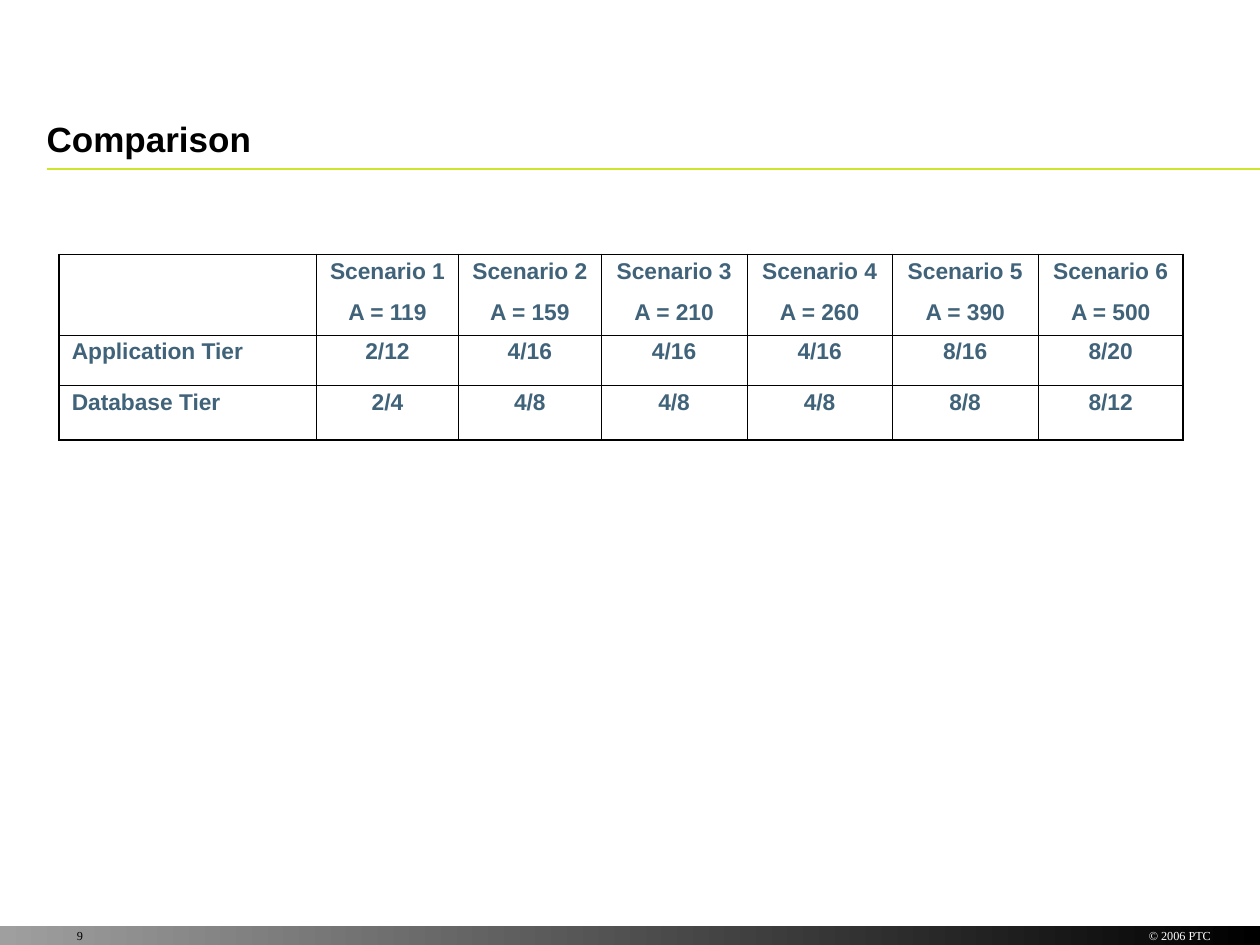
"""Build the scenario comparison slide with its table of tier sizes."""
from lxml.etree import SubElement
from pptx import Presentation
from pptx.dml.color import RGBColor
from pptx.enum.shapes import MSO_CONNECTOR, MSO_SHAPE
from pptx.enum.text import MSO_ANCHOR, MSO_AUTO_SIZE, PP_ALIGN
from pptx.oxml.ns import qn
from pptx.util import Inches, Pt

COLORS = {"black": "000000", "gray": "9F9F9F", "lime": "CDE62D", "slate": "40637A", "white": "FFFFFF"}


def style_font(paragraph, name, size, color, bold=False):
    paragraph.font.name = name
    paragraph.font.size = Pt(size)
    paragraph.font.bold = bold
    paragraph.font.color.rgb = RGBColor.from_string(COLORS[color])


def add_border(cell, side, width):
    line = SubElement(cell._tc.get_or_add_tcPr(), qn(f"a:ln{side}"), w=str(Pt(width)))
    SubElement(SubElement(line, qn("a:solidFill")), qn("a:srgbClr"), val=COLORS["black"])


prs = Presentation()
prs.slide_width, prs.slide_height = Inches(10), Inches(7.5)
slide = prs.slides.add_slide(prs.slide_layouts[5])

footer_band = slide.shapes.add_shape(MSO_SHAPE.RECTANGLE, 0, Inches(7.35), Inches(10), Inches(0.15))
footer_band.shadow.inherit = False
footer_band.line.fill.background()
footer_band.fill.gradient()
footer_band.fill.gradient_angle = 180
for stop, color in zip(footer_band.fill.gradient_stops, ("black", "gray")):
    stop.color.rgb = RGBColor.from_string(COLORS[color])

title_rule = slide.shapes.add_connector(
    MSO_CONNECTOR.STRAIGHT, Inches(0.37), Inches(1.34), Inches(10), Inches(1.34))
title_rule.line.color.rgb = RGBColor.from_string(COLORS["lime"])
title_rule.line.width = Pt(1)
SubElement(title_rule._element.spPr, qn("a:effectLst"))

title = slide.shapes.title
title.left, title.top, title.width, title.height = Inches(0.37), Inches(0.85), Inches(9.24), Inches(0.42)
title.text = "Comparison"
title_frame = title.text_frame
title_frame.auto_size = MSO_AUTO_SIZE.NONE
title_frame.vertical_anchor = MSO_ANCHOR.BOTTOM
title_frame.margin_left = title_frame.margin_right = title_frame.margin_top = title_frame.margin_bottom = 0
title_frame.paragraphs[0].alignment = PP_ALIGN.LEFT
style_font(title_frame.paragraphs[0], "Arial", 20, "black", bold=True)

capacities = [119, 159, 210, 260, 390, 500]
tier_rows = [
    [""] + [f"Scenario {number}\nA = {capacity}" for number, capacity in enumerate(capacities, 1)],
    ["Application Tier", "2/12", "4/16", "4/16", "4/16", "8/16", "8/20"],
    ["Database Tier", "2/4", "4/8", "4/8", "4/8", "8/8", "8/12"],
]
column_widths = [2.04, 1.13, 1.13, 1.16, 1.15, 1.16, 1.15]
row_heights = [0.64, 0.4, 0.43]
last_row, last_column = len(row_heights) - 1, len(column_widths) - 1

comparison = slide.shapes.add_table(
    len(row_heights), len(column_widths), Inches(0.47), Inches(2.02),
    Inches(sum(column_widths)), Inches(sum(row_heights))).table
comparison.first_row = comparison.horz_banding = False
for column, width in zip(comparison.columns, column_widths):
    column.width = Inches(width)
for row, height in zip(comparison.rows, row_heights):
    row.height = Inches(height)

for r, tier_row in enumerate(tier_rows):
    for c, content in enumerate(tier_row):
        cell = comparison.cell(r, c)
        cell.text = content
        outer_sides = {"L": c == 0, "R": c == last_column, "T": r == 0, "B": r == last_row}
        for side, is_outer in outer_sides.items():
            add_border(cell, side, 1.08 if is_outer else 0.45)
        cell.fill.background()
        for index, paragraph in enumerate(cell.text_frame.paragraphs):
            paragraph.alignment = PP_ALIGN.CENTER if c else PP_ALIGN.LEFT
            paragraph.line_spacing = 0.9
            paragraph.space_before = Pt(6.5 if index else 0)
            paragraph.space_after = Pt(4)
            style_font(paragraph, "Arial", 13, "slate", bold=True)

footer_notes = [
    ("© 2006 PTC", 8.97, 0.64, PP_ALIGN.RIGHT, "white", 0),
    ("9", 0.37, 0.49, PP_ALIGN.LEFT, "black", 0.24),
]
for wording, left, width, alignment, color, indent in footer_notes:
    note_frame = slide.shapes.add_textbox(Inches(left), Inches(7.37), Inches(width), Inches(0.12)).text_frame
    note_frame.word_wrap = True
    note_frame.margin_left = note_frame.margin_right = note_frame.margin_top = note_frame.margin_bottom = 0
    paragraph = note_frame.paragraphs[0]
    paragraph.text = wording
    paragraph.alignment = alignment
    paragraph._p.get_or_add_pPr().set("marL", str(Inches(indent)))
    style_font(paragraph, "Times New Roman", 7, color)

prs.save("out.pptx")
